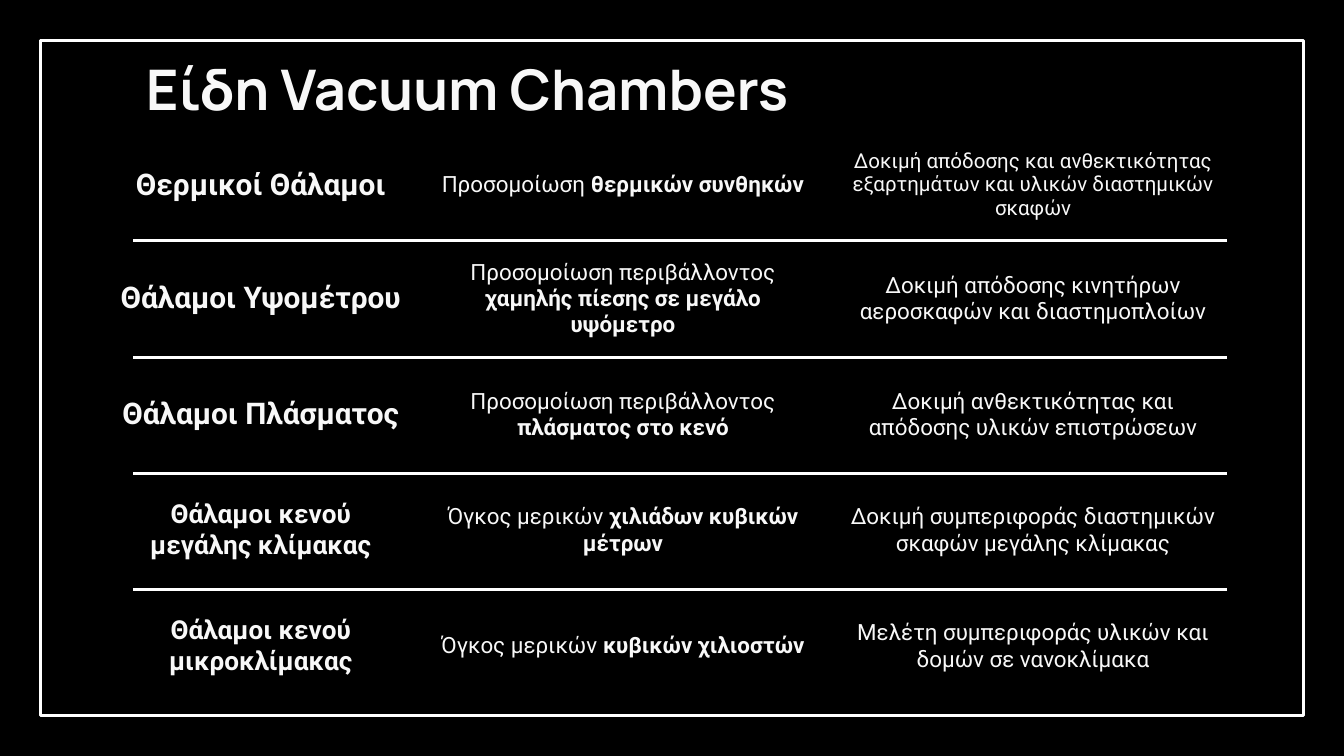
from pptx import Presentation
from pptx.dml.color import RGBColor
from pptx.enum.shapes import MSO_CONNECTOR, MSO_SHAPE
from pptx.enum.text import MSO_ANCHOR, PP_ALIGN
from pptx.oxml.ns import qn
from pptx.util import Cm, Pt
from lxml.etree import SubElement

TITLE = "Είδη Vacuum Chambers"
ROWS = [
    (("Θερμικοί Θάλαμοι", 16), ("Προσομοίωση ", "θερμικών συνθηκών"),
     ("Δοκιμή απόδοσης και ανθεκτικότητας εξαρτημάτων και υλικών διαστημικών σκαφών", 11)),
    (("Θάλαμοι Υψομέτρου", 16), ("Προσομοίωση περιβάλλοντος ", "χαμηλής πίεσης σε μεγάλο υψόμετρο"),
     ("Δοκιμή απόδοσης κινητήρων αεροσκαφών και διαστημοπλοίων", 12)),
    (("Θάλαμοι Πλάσματος", 16), ("Προσομοίωση περιβάλλοντος ", "πλάσματος στο κενό"),
     ("Δοκιμή ανθεκτικότητας και απόδοσης υλικών επιστρώσεων", 12)),
    (("Θάλαμοι κενού μεγάλης κλίμακας", 14), ("Όγκος μερικών ", "χιλιάδων κυβικών μέτρων"),
     ("Δοκιμή συμπεριφοράς διαστημικών σκαφών μεγάλης κλίμακας", 12)),
    (("Θάλαμοι κενού μικροκλίμακας", 14), ("Όγκος μερικών ", "κυβικών χιλιοστών"),
     ("Μελέτη συμπεριφοράς υλικών και δομών σε νανοκλίμακα", 12)),
]
COL_WIDTHS = (5.94, 7.75, 7.75)
ROW_HEIGHTS = (2.11,) + (2.19,) * 4
TABLE_LEFT, TABLE_TOP = 1.96, 2.44
RULE_LEFT, RULE_RIGHT, RULE_TOP, RULE_STEP = 2.51, 23.19, 4.55, 2.2
NO_STYLE = "{2D5ABB26-0587-4C30-8999-92F81FD0307C}"

BLACK = RGBColor(0, 0, 0)
WHITE = RGBColor(0xFF, 0xFF, 0xFF)
INK = RGBColor(0xF8, 0xF8, 0xF8)


def set_font(font, name, size):
    font.name = name
    font.size = Pt(size)
    font.color.rgb = INK


def fill_cell(cell, runs, size):
    cell.fill.background()
    cell.vertical_anchor = MSO_ANCHOR.MIDDLE
    cell.margin_left = cell.margin_right = Cm(0.25)
    cell.margin_top = cell.margin_bottom = 0
    p = cell.text_frame.paragraphs[0]
    p.alignment = PP_ALIGN.CENTER
    for text, bold in runs:
        r = p.add_run()
        r.text = text
        r.font.bold = bold
        set_font(r.font, "Roboto", size)


prs = Presentation()
prs.slide_width, prs.slide_height = Cm(25.4), Cm(14.29)
s = prs.slides.add_slide(prs.slide_layouts[6])
s.background.fill.solid()
s.background.fill.fore_color.rgb = BLACK

frame = s.shapes.add_shape(MSO_SHAPE.RECTANGLE, Cm(0.76), Cm(0.76), Cm(23.88), Cm(12.76))
frame.shadow.inherit = False
frame.fill.background()
frame.line.color.rgb = WHITE
frame.line.width = Pt(1.5)

table = s.shapes.add_table(
    len(ROWS), len(COL_WIDTHS), Cm(TABLE_LEFT), Cm(TABLE_TOP),
    Cm(sum(COL_WIDTHS)), Cm(sum(ROW_HEIGHTS))).table
table.first_row = table.horz_banding = False
table._tbl.tblPr.find(qn("a:tableStyleId")).text = NO_STYLE
for col, width in zip(table.columns, COL_WIDTHS):
    col.width = Cm(width)
for row, height, (chamber, (lead, stress), (purpose, size)) in zip(table.rows, ROW_HEIGHTS, ROWS):
    row.height = Cm(height)
    name, name_size = chamber
    fill_cell(row.cells[0], [(name, True)], name_size)
    fill_cell(row.cells[1], [(lead, False), (stress, True)], 12)
    fill_cell(row.cells[2], [(purpose, False)], size)

tf = s.shapes.add_textbox(Cm(2.51), Cm(0.97), Cm(21.44), Cm(1.78)).text_frame
tf.word_wrap = True
tf.margin_left = tf.margin_right = tf.margin_top = tf.margin_bottom = Cm(0.25)
p = tf.paragraphs[0]
p.text = TITLE
p.line_spacing = 0.85
p.font.bold = True
set_font(p.font, "Manrope", 30)

for i in range(len(ROWS) - 1):
    y = Cm(RULE_TOP + i * RULE_STEP)
    rule = s.shapes.add_connector(MSO_CONNECTOR.STRAIGHT, Cm(RULE_RIGHT), y, Cm(RULE_LEFT), y)
    rule.line.color.rgb = WHITE
    rule.line.width = Pt(1.5)
    SubElement(rule._element.spPr, qn("a:effectLst"))

prs.save("out.pptx")
